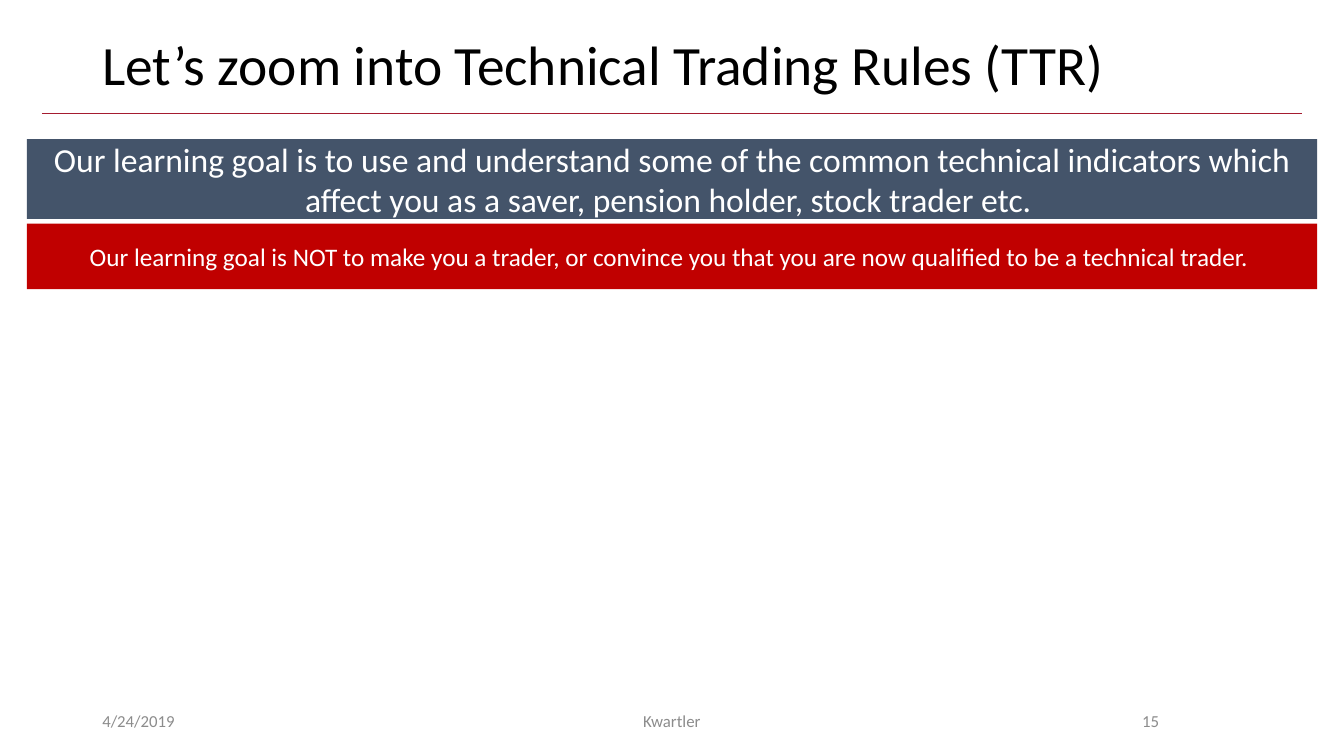
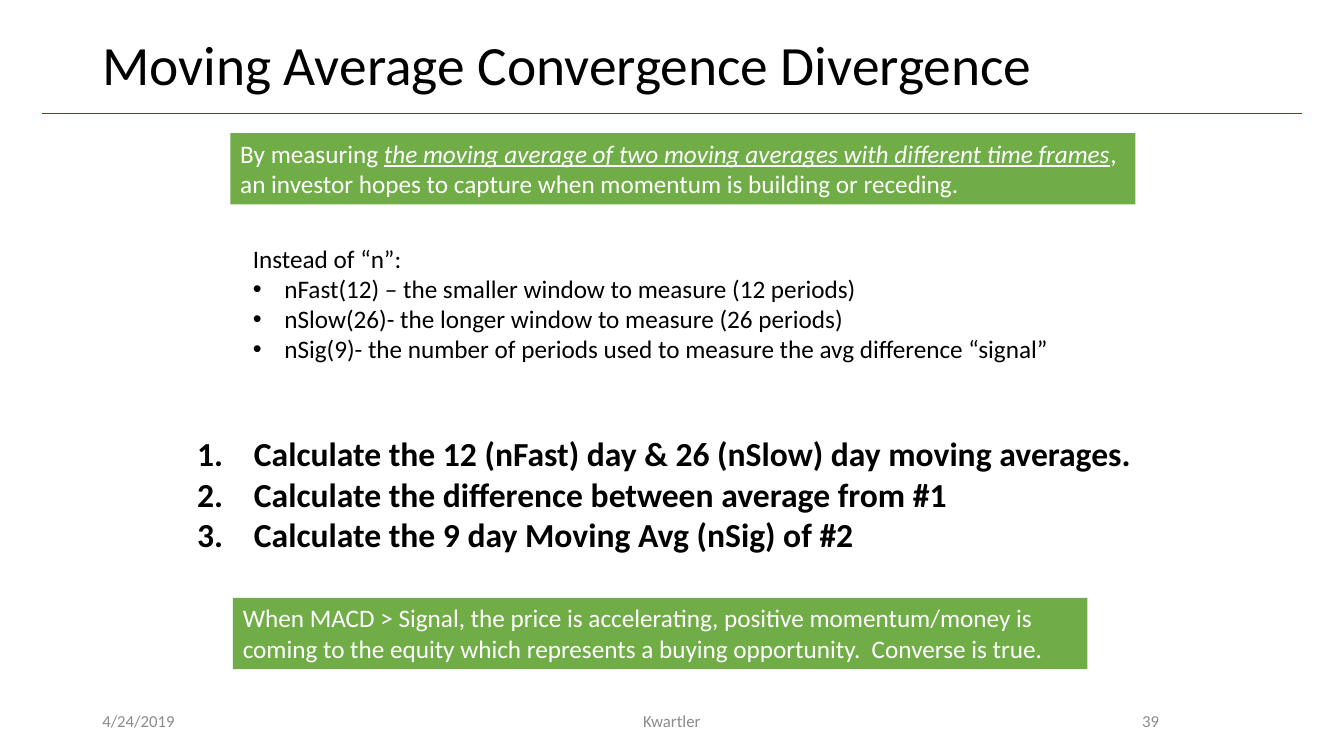
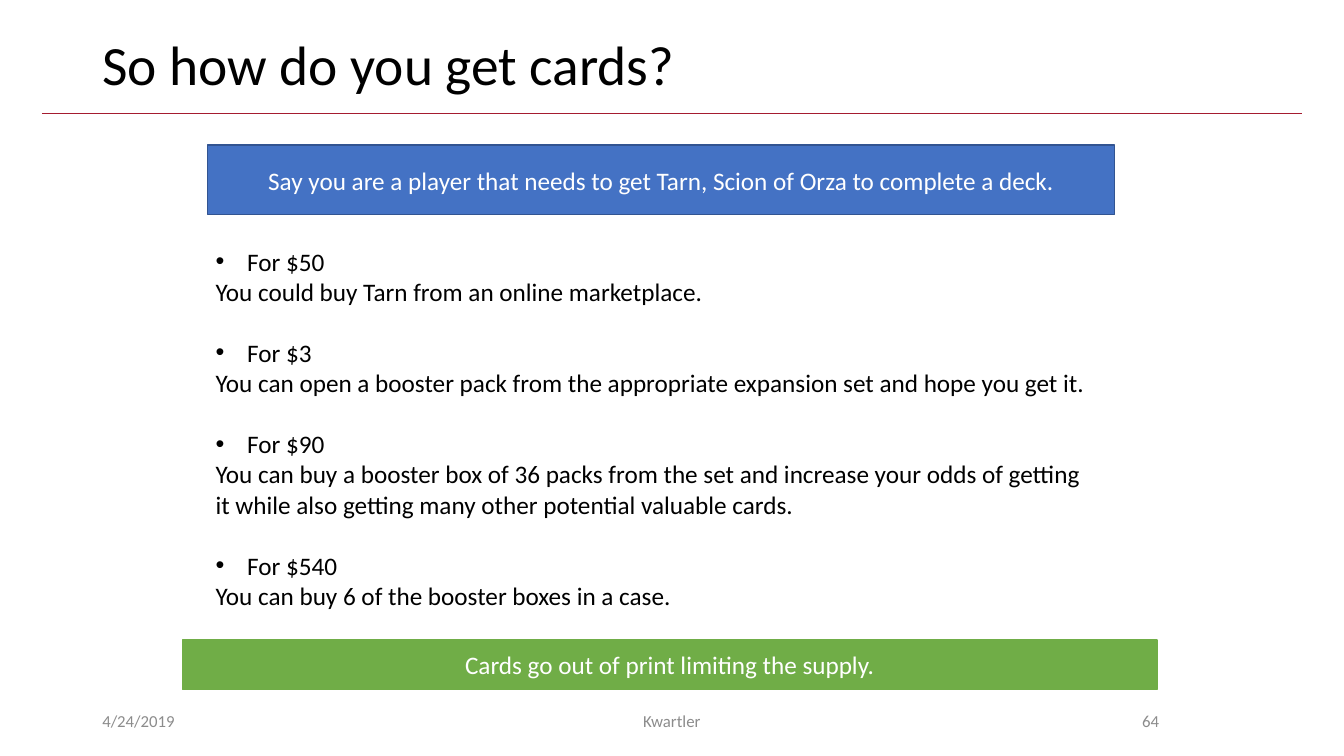
"""Build three lecture slides on trading rules and card buying."""
from dataclasses import dataclass

from lxml.etree import SubElement
from pptx import Presentation
from pptx.dml.color import RGBColor
from pptx.enum.shapes import MSO_CONNECTOR, MSO_SHAPE
from pptx.enum.text import MSO_ANCHOR, PP_ALIGN
from pptx.oxml.ns import qn
from pptx.util import Pt

FONT = "Calibri"
WHITE, BLACK, GREY = "FFFFFF", "000000", "8C8C8C"
CRIMSON, SLATE, RED = "A51C30", "44546A", "C00000"
GREEN, BLUE, NAVY = "70AD47", "4472C4", "325491"
LINE_GAP = 22


@dataclass
class Box:
    """A rectangle on the page, in points."""
    left: float
    top: float
    width: float
    height: float

    def inner(self, left, top, width, height):
        """Return a box placed relative to this one."""
        return Box(self.left + left, self.top + top, width, height)

    def lengths(self):
        """Return left, top, width and height as lengths."""
        return [Pt(n) for n in (self.left, self.top, self.width, self.height)]


PAGE = Box(0, 0, 960, 540)
BODY = PAGE.inner(0, 81, 960, 419)


def color(code):
    """Turn a hex string into a colour."""
    return RGBColor.from_string(code)


def add_bullet(para, kind, indent):
    """Give a paragraph a hanging dot or number."""
    properties = para._p.get_or_add_pPr()
    properties.set("marL", str(Pt(indent)))
    properties.set("indent", str(-Pt(indent)))
    if kind == "number":
        SubElement(properties, qn("a:buAutoNum"), type="arabicPeriod")
    else:
        SubElement(properties, qn("a:buFont"), typeface="Arial")
        SubElement(properties, qn("a:buChar"), char="•")


def add_para(frame, text, size=18, ink=BLACK, bold=False, align=PP_ALIGN.LEFT,
             bullet=None, indent=22.5, before=0, spacing=None, stressed=""):
    """Write one paragraph, with its stressed words underlined in italics."""
    para = frame.paragraphs[0]
    if para.runs:
        para = frame.add_paragraph()
    para.alignment = align
    para.space_before = Pt(before)
    if spacing:
        para.line_spacing = spacing
    if bullet:
        add_bullet(para, bullet, indent)
    lead, mark, rest = text.partition(stressed) if stressed else (text, "", "")
    for words in filter(None, (lead, mark, rest)):
        span = para.add_run()
        span.text = words
        span.font.name = FONT
        span.font.size = Pt(size)
        span.font.bold = bold
        span.font.color.rgb = color(ink)
        if words == mark:
            span.font.italic = span.font.underline = True


def add_text(page, box, *texts, anchor=MSO_ANCHOR.TOP, **style):
    """Place a wrapping text box and return its frame."""
    frame = page.shapes.add_textbox(*box.lengths()).text_frame
    frame.word_wrap = True
    frame.vertical_anchor = anchor
    for text in texts:
        add_para(frame, text, **style)
    return frame


def add_band(page, box, text, fill, line=None, anchor=MSO_ANCHOR.MIDDLE,
             align=PP_ALIGN.CENTER, **style):
    """Place a filled rectangle with white text."""
    band = page.shapes.add_shape(MSO_SHAPE.RECTANGLE, *box.lengths())
    band.shadow.inherit = False
    band.fill.solid()
    band.fill.fore_color.rgb = color(fill)
    if line:
        band.line.color.rgb = color(line)
        band.line.width = Pt(1)
    else:
        band.line.fill.background()
    band.text_frame.word_wrap = True
    band.text_frame.vertical_anchor = anchor
    add_para(band.text_frame, text, ink=WHITE, align=align, **style)


def add_header(page, box, title):
    """Draw the title and the rule below it."""
    rule = page.shapes.add_connector(
        MSO_CONNECTOR.STRAIGHT, Pt(box.left + 30), Pt(box.top + 81),
        Pt(box.left + box.width - 30), Pt(box.top + 81))
    rule.line.color.rgb = color(CRIMSON)
    rule.line.width = Pt(0.5)
    SubElement(rule._element.spPr, qn("a:effectLst"))
    add_text(page, box.inner(66, 28.8, 828, 38.9), title,
             anchor=MSO_ANCHOR.MIDDLE, size=39.6, spacing=0.9)


def add_footer(page, box, number):
    """Write the date, the author and the page number."""
    for left, width, text, align in (
            (66, 216, "4/24/2019", PP_ALIGN.LEFT),
            (318, 324, "Kwartler", PP_ALIGN.CENTER),
            (678, 157, number, PP_ALIGN.RIGHT)):
        add_text(page, box.inner(left, 0, width, 28.8), text,
                 anchor=MSO_ANCHOR.MIDDLE, size=12, ink=GREY, align=align)


def draw_goals(page, box):
    """State what the lesson is and is not for."""
    add_band(page, box.inner(19.3, 18.4, 921.6, 56.9),
             "Our learning goal is to use and understand some of the common "
             "technical indicators which affect you as a saver, pension "
             "holder, stock trader etc. ", SLATE, size=24)
    add_band(page, box.inner(19.3, 78.8, 921.6, 46.8),
             "Our learning goal is NOT to make you a trader, or convince you "
             "that you are now qualified to be a technical trader. ", RED)


def draw_averages(page, box):
    """Explain the parameters and steps of the indicator."""
    left_top = {"anchor": MSO_ANCHOR.TOP, "align": PP_ALIGN.LEFT}
    stressed = "the moving average of two moving averages with different time frames"
    add_band(page, box.inner(164.5, 14.2, 646.6, 50.9),
             f"By measuring {stressed}, an investor hopes to capture when "
             "momentum is building or receding.",
             GREEN, stressed=stressed, **left_top)
    add_text(page, box.inner(133.8, 225, 687.6, 94.5),
             "Calculate the 12 (nFast) day & 26 (nSlow) day moving averages.",
             "Calculate the difference between average from #1",
             "Calculate the 9 day Moving Avg (nSig) of #2",
             size=24, bold=True, bullet="number", indent=40.5)
    parameters = add_text(page, box.inner(173.5, 89, 584.6, 94.5),
                          "Instead of “n”:")
    for text in (
            "nFast(12) – the smaller window to measure (12 periods)",
            "nSlow(26)- the longer window to measure (26 periods)",
            "nSig(9)- the number of periods used to measure the avg "
            "difference “signal”"):
        add_para(parameters, text, bullet="dot")
    add_band(page, box.inner(166.3, 346, 610.5, 50.9),
             "When MACD > Signal, the price is accelerating, positive "
             "momentum/money is coming to the equity which represents a "
             "buying opportunity.  Converse is true.", GREEN, **left_top)


def draw_cards(page, box):
    """List the ways to buy a card by price."""
    add_band(page, box.inner(148.3, 22.7, 648, 49.7),
             "Say you are a player that needs to get Tarn, Scion of Orza to "
             "complete a deck.", BLUE, line=NAVY)
    offers = add_text(page, box.inner(146.9, 91.1, 641.5, 269.3))
    for index, (price, offer) in enumerate((
            ("$50", "You could buy Tarn from an online marketplace."),
            ("$3", "You can open a booster pack from the appropriate "
                   "expansion set and hope you get it."),
            ("$90", "You can buy a booster box of 36 packs from the set and "
                    "increase your odds of getting it while also getting "
                    "many other potential valuable cards."),
            ("$540", "You can buy 6 of the booster boxes in a case."))):
        add_para(offers, f"For {price}", bullet="dot",
                 before=LINE_GAP if index else 0)
        add_para(offers, offer)
    add_band(page, box.inner(130.3, 376.2, 696.2, 35.3),
             "Cards go out of print limiting the supply.", GREEN, line=GREEN)


def main():
    """Build and save the deck."""
    deck = Presentation()
    deck.slide_width, deck.slide_height = Pt(PAGE.width), Pt(PAGE.height)
    for title, number, draw in (
            ("Let’s zoom into Technical Trading Rules (TTR)", "15", draw_goals),
            ("Moving Average Convergence Divergence", "39", draw_averages),
            ("So how do you get cards?", "64", draw_cards)):
        page = deck.slides.add_slide(deck.slide_layouts[6])
        add_header(page, PAGE, title)
        draw(page, BODY)
        add_footer(page, PAGE.inner(0, 500.5, PAGE.width, 28.8), number)
    deck.save("out.pptx")


if __name__ == "__main__":
    main()
